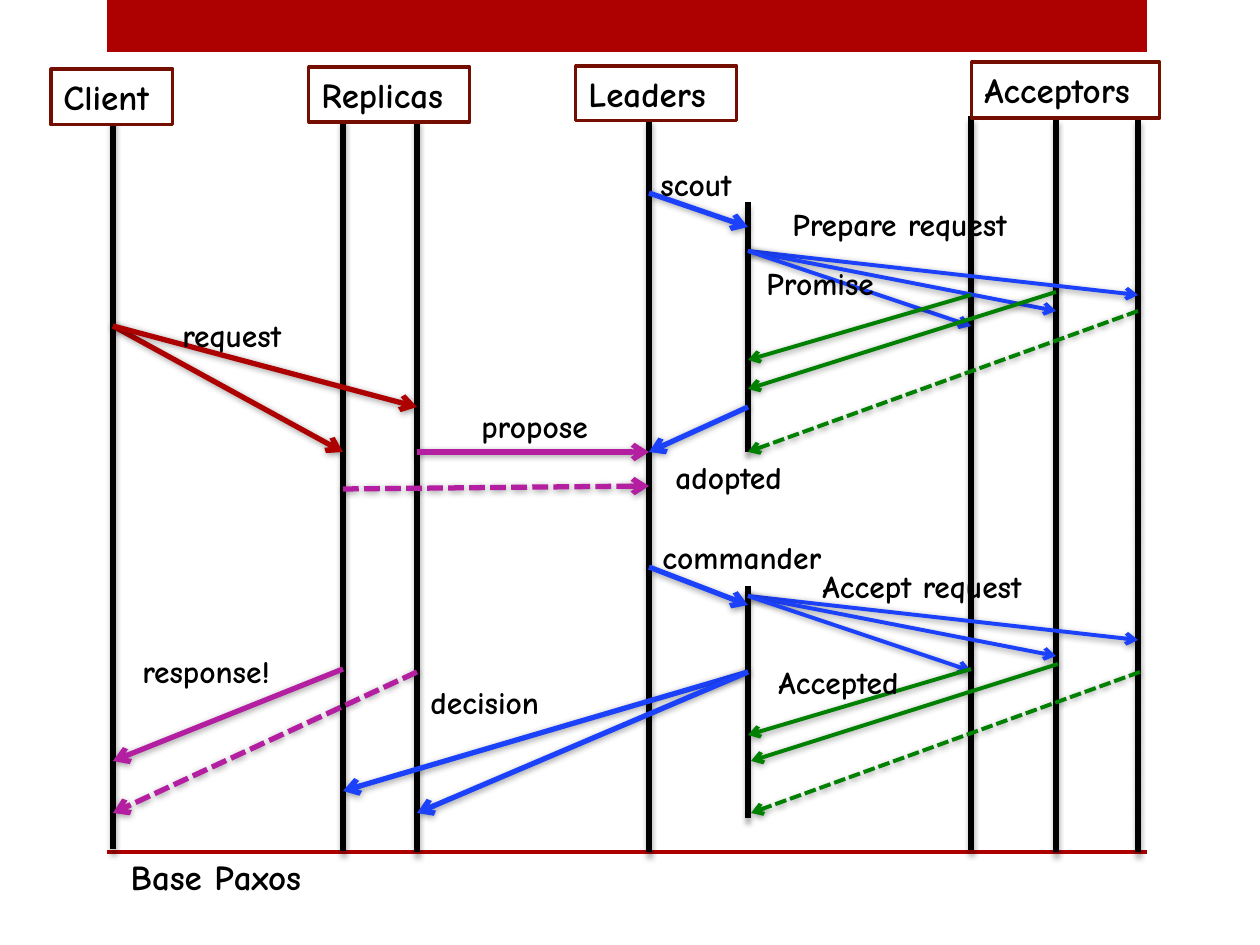
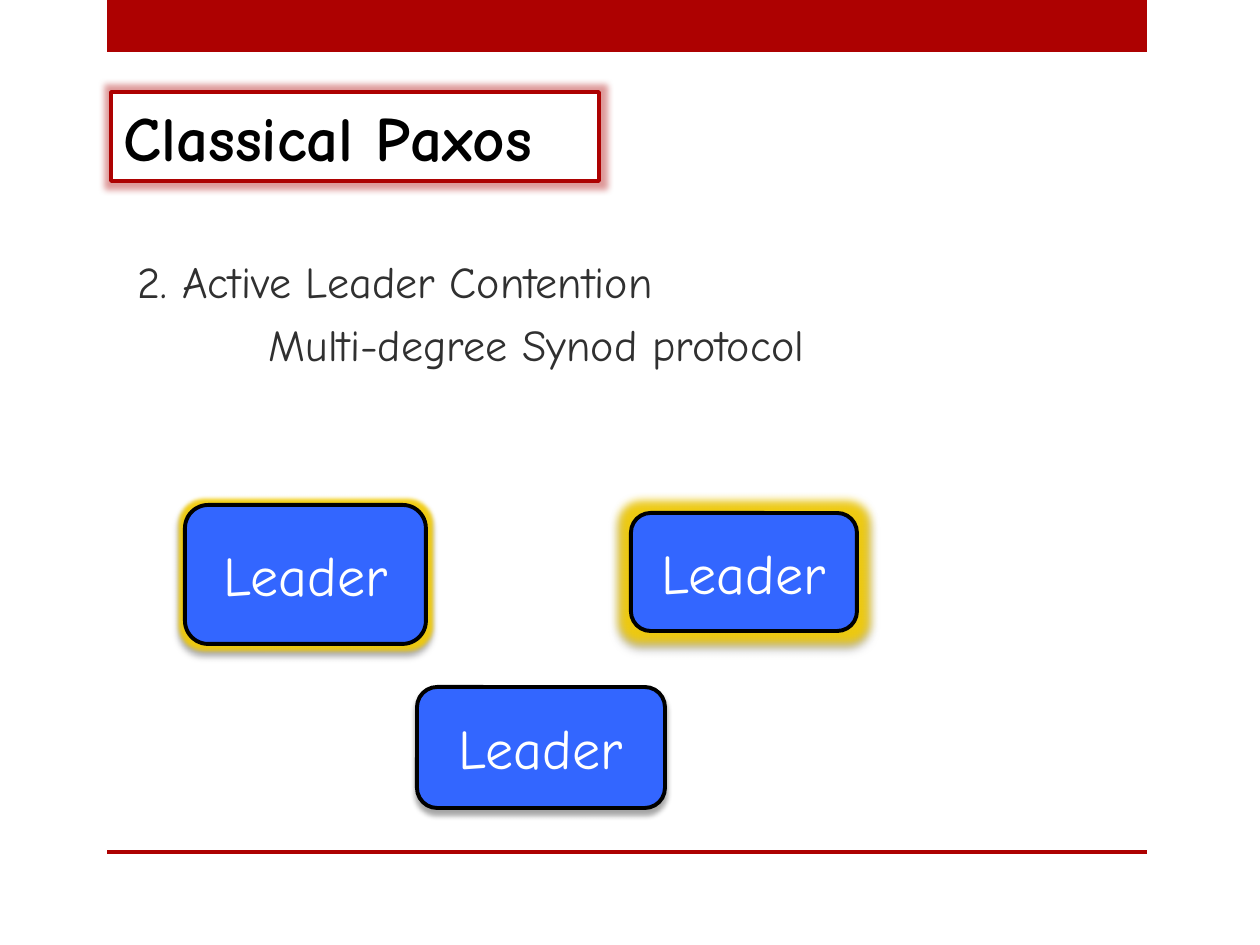
from lxml import etree
from pptx import Presentation
from pptx.dml.color import RGBColor
from pptx.enum.dml import MSO_LINE
from pptx.enum.shapes import MSO_CONNECTOR, MSO_SHAPE
from pptx.enum.text import MSO_ANCHOR, MSO_AUTO_SIZE, PP_ALIGN
from pptx.oxml.ns import qn
from pptx.util import Pt

PX = 914400 / 126
FONT = "Comic Neue"
RED = RGBColor(0xAD, 0x01, 0x01)
DARK_RED = RGBColor(0x73, 0x0E, 0x00)
PURPLE = RGBColor(0xB4, 0x1F, 0xA1)
BLUE = RGBColor(0x1C, 0x41, 0xFA)
GREEN = RGBColor(0x00, 0x80, 0x00)
LEADER_BLUE = RGBColor(0x33, 0x66, 0xFF)
YELLOW = RGBColor(0xF5, 0xCD, 0x00)
BLACK = RGBColor(0x00, 0x00, 0x00)
WHITE = RGBColor(0xFF, 0xFF, 0xFF)
GREY = RGBColor(0x30, 0x30, 0x30)

RECTANGLE = MSO_SHAPE.RECTANGLE
ROUNDED = MSO_SHAPE.ROUNDED_RECTANGLE
STRAIGHT = MSO_CONNECTOR.STRAIGHT
DASH = MSO_LINE.SQUARE_DOT
TOP, MIDDLE = MSO_ANCHOR.TOP, MSO_ANCHOR.MIDDLE
LEFT, CENTER = PP_ALIGN.LEFT, PP_ALIGN.CENTER
NO_AUTOSIZE = MSO_AUTO_SIZE.NONE

SHAPE_SHADOW = {"alpha": 35, "blur": 3, "distance": 3, "angle": 90}
ARROW_SHADOW = {"alpha": 40, "blur": 4, "distance": 1, "angle": 88}

BANDS = [(107, 0, 1040, 52), (107, 850, 1040, 4)]

CLIENT, REPLICA_1, REPLICA_2, LEADER, WORKER = 113, 343, 417, 649, 748
ACCEPTOR_1, ACCEPTOR_2, ACCEPTOR_3 = 971, 1056, 1138

LIFELINES = [
    (CLIENT, 116, 849), (REPLICA_1, 117, 851), (REPLICA_2, 118, 852),
    (LEADER, 118, 852), (ACCEPTOR_1, 116, 850), (ACCEPTOR_2, 118, 852),
    (ACCEPTOR_3, 118, 852), (WORKER, 202, 452), (WORKER, 586, 818),
]
ROLES = [
    ("Client", (51, 69, 122, 56)),
    ("Replicas", (309, 67, 161, 55)),
    ("Leaders", (576, 66, 161, 55)),
    ("Acceptors", (972, 62, 188, 56)),
]


def fan_out(y):
    return [(WORKER, y, ACCEPTOR_3, y + 44), (WORKER, y, ACCEPTOR_2, y + 60),
            (WORKER, y, ACCEPTOR_1, y + 75)]


MESSAGES = [
    ("request", (170, 310, 139), RED, 3,
     [(CLIENT, 326, REPLICA_1, 452), (CLIENT, 326, REPLICA_2, 407)], []),
    ("propose", (469, 401, 141), PURPLE, 3,
     [(REPLICA_2, 452, LEADER, 452)], [(REPLICA_1, 489, LEADER, 486)]),
    ("scout", (648, 159, 106), BLUE, 3, [(LEADER, 193, WORKER, 227)], []),
    ("Prepare request", (780, 199, 271), BLUE, 2.25, fan_out(251), []),
    ("Promise", (754, 258, 141), GREEN, 2.25,
     [(ACCEPTOR_1, 295, WORKER, 360), (ACCEPTOR_2, 292, WORKER, 389)],
     [(ACCEPTOR_3, 311, WORKER, 452)]),
    ("adopted", (663, 452, 147), BLUE, 3, [(WORKER, 407, LEADER, 452)], []),
    ("commander", (650, 532, 194), BLUE, 3, [(LEADER, 567, WORKER, 605)], []),
    ("Accept request", (810, 561, 260), BLUE, 2.25, fan_out(596), []),
    ("Accepted", (766, 657, 168), GREEN, 2.25,
     [(ACCEPTOR_1, 669, WORKER, 735), (ACCEPTOR_2 + 2, 664, WORKER + 3, 761)],
     [(ACCEPTOR_3 + 2, 672, WORKER + 3, 813)]),
    ("decision", (418, 677, 145), BLUE, 3,
     [(WORKER, 672, REPLICA_1, 791), (WORKER, 672, REPLICA_2, 813)], []),
    ("response!", (130, 646, 165), PURPLE, 3,
     [(REPLICA_1, 669, CLIENT, 761)], [(REPLICA_2, 672, CLIENT, 813)]),
]
LABEL_HEIGHT = 50

CONTENTION = [("2. Active Leader Contention", 15), ("Multi-degree Synod protocol", 146)]
LEADERS = [
    ((417, 687, 248, 121), 0),
    ((631, 513, 226, 118), 11),
    ((185, 505, 241, 139), 5),
]


def emu(pixels):
    return round(pixels * PX)


def place(shape, box):
    shape.left, shape.top, shape.width, shape.height = map(emu, box)


def add_color(parent, color, alpha):
    node = etree.SubElement(parent, qn("a:srgbClr"), val=str(color))
    etree.SubElement(node, qn("a:alpha"), val=str(alpha * 1000))


def set_effects(shape, shadow=None, glow=0, glow_color=YELLOW):
    effects = etree.SubElement(shape.element.spPr, qn("a:effectLst"))
    if glow:
        node = etree.SubElement(effects, qn("a:glow"), rad=str(Pt(glow)))
        add_color(node, glow_color, 40 if glow_color == RED else 90)
    if shadow:
        node = etree.SubElement(
            effects, qn("a:outerShdw"), blurRad=str(Pt(shadow["blur"])),
            dist=str(Pt(shadow["distance"])), dir=str(shadow["angle"] * 60000),
            rotWithShape="0")
        add_color(node, BLACK, shadow["alpha"])


def paint(shape, fill, line=None, width=0):
    shape.fill.solid()
    shape.fill.fore_color.rgb = fill
    if line is None:
        shape.line.fill.background()
    else:
        shape.line.color.rgb = line
        shape.line.width = Pt(width)


def format_text(shape, size, color=BLACK, bold=True, anchor=TOP, align=LEFT):
    frame = shape.text_frame
    frame.word_wrap = True
    frame.auto_size = NO_AUTOSIZE
    frame.vertical_anchor = anchor
    for paragraph in frame.paragraphs:
        paragraph.alignment = align
        for run in paragraph.runs:
            run.font.name = FONT
            run.font.size = Pt(size)
            run.font.bold = bold
            run.font.color.rgb = color


def add_block(slide, kind, box, fill, line=None, width=0):
    shape = slide.shapes.add_shape(kind, *map(emu, box))
    paint(shape, fill, line, width)
    return shape


def add_line(slide, ends, color, width, shadow, dashed=False, arrow=False):
    connector = slide.shapes.add_connector(STRAIGHT, *map(emu, ends))
    connector.line.color.rgb = color
    connector.line.width = Pt(width)
    if dashed:
        connector.line.dash_style = DASH
    if arrow:
        outline = connector.element.spPr.find(qn("a:ln"))
        etree.SubElement(outline, qn("a:tailEnd"), type="arrow")
    set_effects(connector, shadow)


def set_title(slide, text, box, size):
    title = slide.shapes.title
    place(title, box)
    title.text_frame.text = text
    format_text(title, size)
    return title


def add_bands(presentation, slide):
    tree = presentation.slide_master.element.cSld.spTree
    for box in BANDS:
        band = add_block(slide, RECTANGLE, box, RED)
        set_effects(band)
        tree.append(band.element)


def build_sequence(slide):
    for x, top, bottom in LIFELINES:
        add_line(slide, (x, top, x, bottom), BLACK, 3, SHAPE_SHADOW)
    for name, box in ROLES:
        role = add_block(slide, RECTANGLE, box, WHITE, DARK_RED, 1.75)
        set_effects(role)
        role.text_frame.text = name
        format_text(role, 20)
    for text, (left, top, width), color, weight, solid, dashed in MESSAGES:
        for ends in solid + dashed:
            add_line(slide, ends, color, weight, ARROW_SHADOW, ends in dashed, True)
        label = slide.shapes.add_textbox(*map(emu, (left, top, width, LABEL_HEIGHT)))
        label.text_frame.text = text
        format_text(label, 18)
    set_title(slide, "Base Paxos", (118, 849, 630, 55), 20)


def build_contention(slide):
    title = set_title(slide, "Classical Paxos", (111, 92, 488, 89), 36)
    paint(title, WHITE, RED, 2.25)
    set_effects(title, glow=8, glow_color=RED)

    body = slide.placeholders[1]
    place(body, (110, 252, 785, 183))
    frame = body.text_frame
    frame.text = "\n".join(text for text, indent in CONTENTION)
    format_text(body, 25.2, GREY, False, MIDDLE)
    frame.margin_bottom = emu(68)
    for paragraph, (text, indent) in zip(frame.paragraphs, CONTENTION):
        paragraph.space_before = Pt(6)
        properties = paragraph._p.get_or_add_pPr()
        properties.set("marL", str(emu(indent)))
        properties.set("indent", "0")
        etree.SubElement(properties, qn("a:buNone"))

    for box, glow in LEADERS:
        leader = add_block(slide, ROUNDED, box, LEADER_BLUE, BLACK, 2.25)
        set_effects(leader, SHAPE_SHADOW, glow)
        leader.text_frame.text = "Leader"
        format_text(leader, 32, WHITE, False, MIDDLE, CENTER)


def main():
    presentation = Presentation()
    presentation.slide_width, presentation.slide_height = emu(1260), emu(945)
    layouts = presentation.slide_layouts
    sequence = presentation.slides.add_slide(layouts.get_by_name("Title Only"))
    contention = presentation.slides.add_slide(layouts.get_by_name("Title and Content"))
    add_bands(presentation, sequence)
    build_sequence(sequence)
    build_contention(contention)
    presentation.save("out.pptx")


if __name__ == "__main__":
    main()
